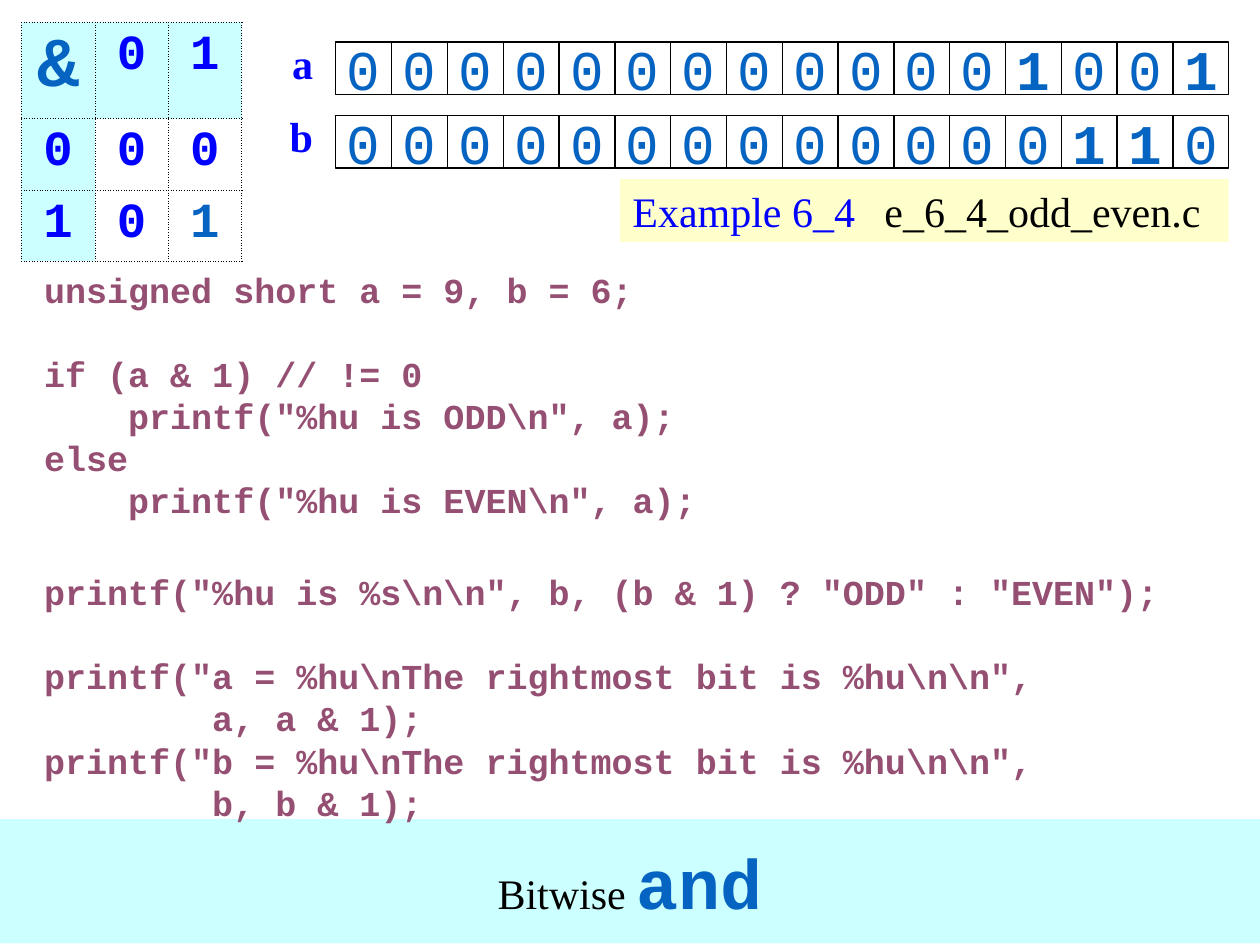
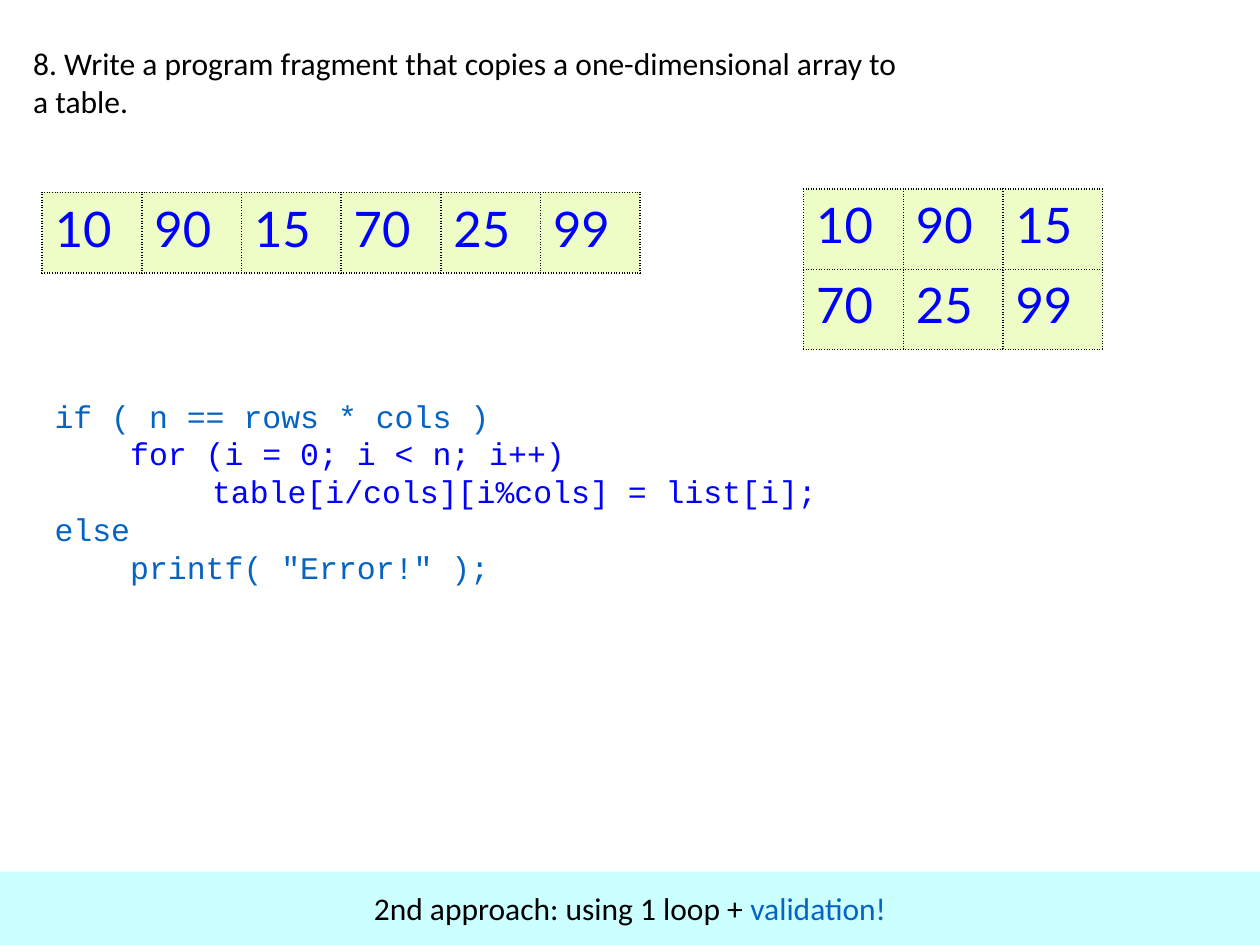
from collections import namedtuple

from lxml import etree
from pptx import Presentation
from pptx.dml.color import RGBColor
from pptx.enum.shapes import MSO_SHAPE as SHAPE
from pptx.enum.text import MSO_ANCHOR as ANCHOR, MSO_AUTO_SIZE as AUTO, PP_ALIGN as ALIGN
from pptx.oxml.ns import qn
from pptx.util import Cm, Pt

BLACK = RGBColor(0x00, 0x00, 0x00)
BLUE = RGBColor(0x00, 0x00, 0xFF)
ACCENT = RGBColor(0x05, 0x63, 0xC1)
PLUM = RGBColor(0x95, 0x4F, 0x72)
CYAN = RGBColor(0xCC, 0xFF, 0xFF)
YELLOW = RGBColor(0xFF, 0xFF, 0xCC)
LIME = RGBColor(0xEE, 0xFD, 0xC5)

MONO, SERIF, SANS, NUMBERS = "Courier New", "Times New Roman", "Calibri", "Lato"

Style = namedtuple("Style", "name size color bold", defaults=[False])
OPERATOR = Style(MONO, 40, ACCENT, True)
TRUTH = Style(MONO, 28, BLUE, True)
BIT = Style(MONO, 32, ACCENT)
LABEL = Style(SERIF, 24, BLUE, True)
ODD_EVEN_CODE = Style(MONO, 20, PLUM, True)
COPY_CODE = Style(MONO, 18, BLUE)
CHECK_CODE = COPY_CODE._replace(color=ACCENT)
QUESTION = Style(SANS, 18, BLACK)
NUMBER = Style(NUMBERS, 28, BLUE)

# Each line: text, style, space before in points, left indent in cm
ODD_EVEN_LINES = [
    (text, ODD_EVEN_CODE, gap, 0) for text, gap in [
        ("unsigned short a = 9, b = 6;", 0),
        ("if (a & 1) // != 0", 24),
        ('    printf("%hu is ODD\\n", a);', 0),
        ("else", 0),
        ('    printf("%hu is EVEN\\n", a);', 0),
        ('printf("%hu is %s\\n\\n", b, (b & 1) ? "ODD" : "EVEN");', 29),
        ('printf("a = %hu\\nThe rightmost bit is %hu\\n\\n",', 24),
        ("        a, a & 1);", 0),
        ('printf("b = %hu\\nThe rightmost bit is %hu\\n\\n",', 0),
        ("        b, b & 1);", 0),
    ]
]
COPY_LINES = [
    ("if ( n == rows * cols )", CHECK_CODE, 0, 0),
    ("    for (i = 0; i < n; i++)", COPY_CODE, 0, 0),
    ("     table[i/cols][i%cols] = list[i];", COPY_CODE, 0, 1.27),
    ("else", CHECK_CODE, 0, 0),
    ('    printf( "Error!" );', CHECK_CODE, 0, 0),
]


def set_font(font, style):
    font.name, font.size, font.bold = style.name, Pt(style.size), style.bold
    font.color.rgb = style.color


def write(p, text, style, align=ALIGN.LEFT):
    p.text = text
    p.alignment = align
    set_font(p.font, style)


def write_runs(p, runs):
    for text, style in runs:
        r = p.add_run()
        r.text = text
        set_font(r.font, style)


def add_band(slide, top, height, runs):
    """Turn the slide title into the coloured band at the bottom."""
    sp = slide.shapes.title
    sp.left, sp.top, sp.width, sp.height = Cm(0), Cm(top), Cm(25.4), Cm(height)
    sp.fill.solid()
    sp.fill.fore_color.rgb = CYAN
    tf = sp.text_frame
    tf.auto_size = AUTO.NONE
    tf.vertical_anchor = ANCHOR.MIDDLE
    p = tf.paragraphs[0]
    p.alignment = ALIGN.CENTER
    write_runs(p, runs)


def add_lines(slide, left, top, width, height, lines, wrap=True):
    sp = slide.shapes.add_textbox(Cm(left), Cm(top), Cm(width), Cm(height))
    tf = sp.text_frame
    tf.word_wrap = wrap
    for i, (text, style, gap, indent) in enumerate(lines):
        p = tf.add_paragraph() if i else tf.paragraphs[0]
        if indent:
            p._p.get_or_add_pPr().set("marL", str(Cm(indent)))
        write(p, text, style)
        p.space_before = Pt(gap)


def add_rect(shapes, left, top, width, height, fill=None):
    """Add a box: filled without outline, or outlined without fill."""
    sp = shapes.add_shape(SHAPE.RECTANGLE, Cm(left), Cm(top), Cm(width), Cm(height))
    sp.shadow.inherit = False
    if fill is None:
        sp.fill.background()
        sp.line.color.rgb = BLACK
        sp.line.width = Pt(0.75)
    else:
        sp.fill.solid()
        sp.fill.fore_color.rgb = fill
        sp.line.fill.background()
    return sp


def add_register(slide, name, top, value, label_left):
    """Show a 16-bit number as a labelled row of bits, the ones in bold."""
    group = slide.shapes.add_group_shape()
    width = 18 / 16
    for i, bit in enumerate(f"{value:016b}"):
        sp = add_rect(group.shapes, 6.77 + i * width, top, width, 1.06)
        tf = sp.text_frame
        tf.word_wrap = False
        tf.vertical_anchor = ANCHOR.MIDDLE
        write(tf.paragraphs[0], bit, BIT._replace(bold=bit == "1"), ALIGN.CENTER)
    add_lines(slide, label_left, top - 0.22, 0.97, 1.27, [(name, LABEL, 0, 0)], wrap=False)


def dot_borders(cell, width):
    tcPr = cell._tc.get_or_add_tcPr()
    for i, side in enumerate(("lnL", "lnR", "lnT", "lnB")):
        ln = etree.Element(qn(f"a:{side}"), w=str(Pt(width)))
        fill = etree.SubElement(ln, qn("a:solidFill"))
        etree.SubElement(fill, qn("a:srgbClr"), val=str(BLACK))
        etree.SubElement(ln, qn("a:prstDash"), val="sysDot")
        tcPr.insert(i, ln)


def add_grid(slide, left, top, col_width, row_heights, rows, border, cell_look):
    """Add a dotted table; cell_look(row, col) gives style, fill and alignment."""
    n_cols = len(rows[0])
    table = slide.shapes.add_table(
        len(rows), n_cols, Cm(left), Cm(top),
        Cm(col_width * n_cols), Cm(sum(row_heights))).table
    table.first_row = table.horz_banding = False
    for col in table.columns:
        col.width = Cm(col_width)
    for i, values in enumerate(rows):
        table.rows[i].height = Cm(row_heights[i])
        for j, value in enumerate(values):
            cell = table.cell(i, j)
            style, fill, align = cell_look(i, j)
            write(cell.text_frame.paragraphs[0], value, style, align)
            if fill is None:
                cell.fill.background()
            else:
                cell.fill.solid()
                cell.fill.fore_color.rgb = fill
            dot_borders(cell, border)


def truth_look(row, col):
    if row == col == 0:
        style = OPERATOR
    elif row == col == 2:
        style = TRUTH._replace(color=ACCENT)
    else:
        style = TRUTH
    return style, CYAN if 0 in (row, col) else None, ALIGN.CENTER


def number_look(row, col):
    return NUMBER, LIME, ALIGN.LEFT


def build_bitwise_and(slide):
    add_band(slide, 16.51, 2.51,
             [("Bitwise ", Style(SERIF, 24, BLACK)), ("and", OPERATOR)])
    add_grid(slide, 0.43, 0.45, 1.48, [1.94, 1.44, 1.44],
             ["&01", "000", "101"], 0.25, truth_look)
    add_lines(slide, 0.64, 5.28, 24.33, 11.43, ODD_EVEN_LINES)
    add_register(slide, "a", 0.85, 9, 5.64)
    add_register(slide, "b", 2.33, 6, 5.59)
    sp = add_rect(slide.shapes, 12.5, 3.61, 12.27, 1.27, YELLOW)
    p = sp.text_frame.paragraphs[0]
    p.alignment = ALIGN.LEFT
    write_runs(p, [("Example 6_4 \t", Style(SERIF, 24, BLUE)),
                   ("e_6_4_odd_even.c", Style(SERIF, 24, BLACK))])


def build_array_to_table(slide):
    add_band(slide, 17.57, 1.48,
             [("2nd approach: using 1 loop +", QUESTION),
              (" validation!", QUESTION._replace(color=ACCENT))])
    question = ["8. Write a program fragment that copies a one-dimensional array to",
                "a table."]
    add_lines(slide, 0.42, 0.76, 23.52, 2.29, [(text, QUESTION, 0, 0) for text in question])
    numbers = ["10", "90", "15", "70", "25", "99"]
    add_grid(slide, 0.85, 3.88, 2.01, [1.62], [numbers], 1, number_look)
    add_grid(slide, 16.2, 3.81, 2.01, [1.62] * 2, [numbers[:3], numbers[3:]], 1, number_look)
    add_lines(slide, 0.85, 7.87, 21.39, 6.3, COPY_LINES)


def main():
    prs = Presentation()
    prs.slide_width, prs.slide_height = Cm(25.4), Cm(19.05)
    title_only = prs.slide_layouts[5]
    for build in (build_bitwise_and, build_array_to_table):
        build(prs.slides.add_slide(title_only))
    prs.save("out.pptx")


if __name__ == "__main__":
    main()
